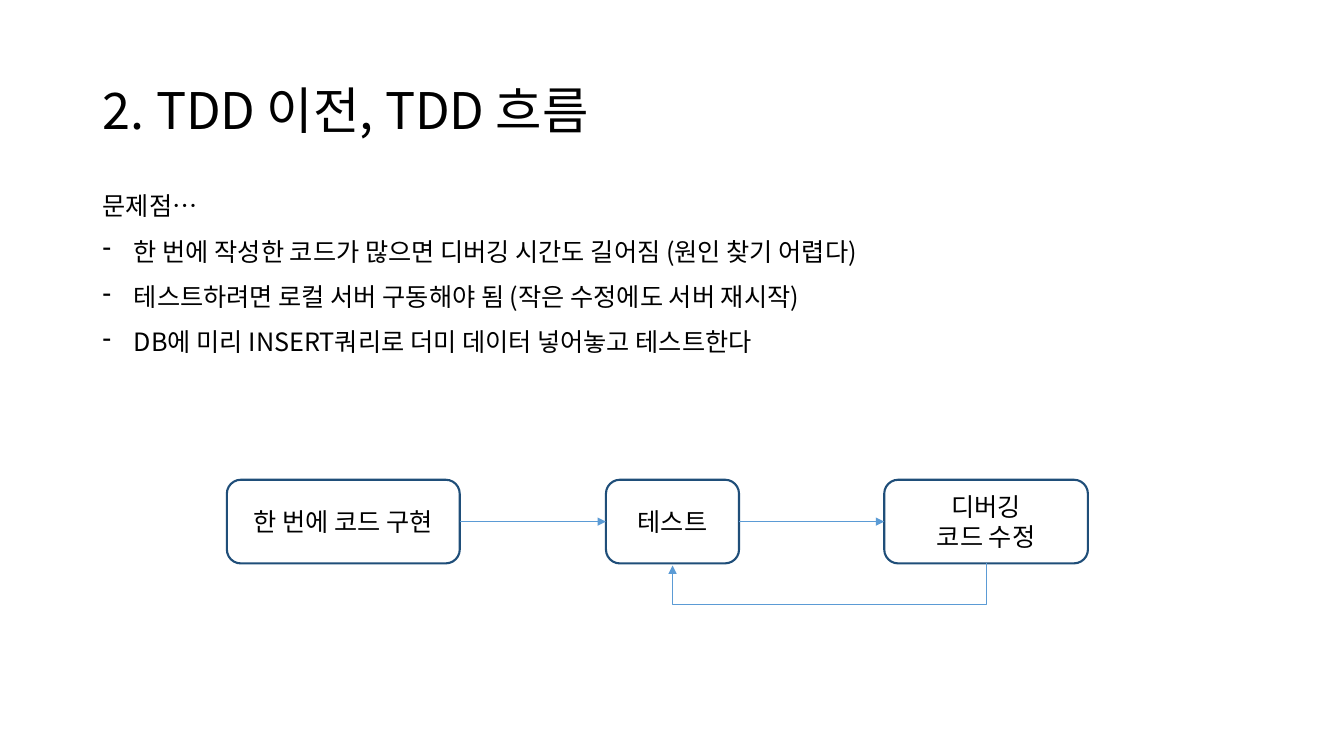
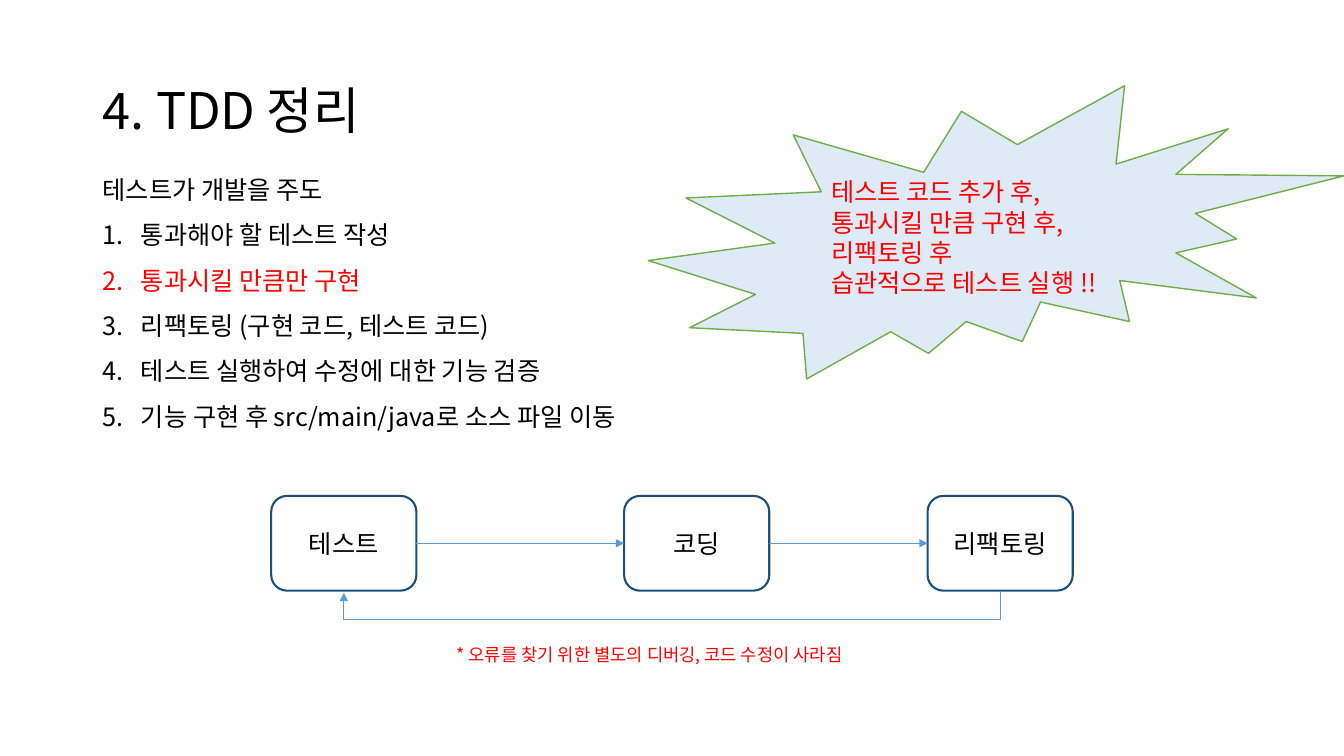
from dataclasses import dataclass

import lxml.etree
import pptx
import pptx.dml.color
import pptx.enum.shapes
import pptx.enum.text
import pptx.oxml.ns
import pptx.shapes.autoshape
import pptx.shapes.connector
import pptx.slide
import pptx.text.text
import pptx.util

Inches = pptx.util.Inches
Pt = pptx.util.Pt
qn = pptx.oxml.ns.qn
Anchor = pptx.enum.text.MSO_ANCHOR
Align = pptx.enum.text.PP_ALIGN
Preset = pptx.enum.shapes.MSO_SHAPE
Connector = pptx.enum.shapes.MSO_CONNECTOR
SITE_LEFT, SITE_BOTTOM, SITE_RIGHT = 1, 2, 3


@dataclass(frozen=True)
class Theme:
    font: str = "Noto Sans CJK KR"
    text: str = "000000"
    emphasis: str = "FF0000"
    box_line: str = "1F4E79"
    arrow: str = "5B9BD5"
    burst_fill: str = "DEEBF7"
    burst_line: str = "70AD47"
    title_size: float = 36
    body_size: float = 18
    note_size: float = 12.6


THEME = Theme()


@dataclass(frozen=True)
class Area:
    left: float
    top: float
    width: float
    height: float

    def lengths(self) -> tuple[pptx.util.Length, ...]:
        return tuple(Inches(value) for value in (self.left, self.top, self.width, self.height))


@dataclass(frozen=True)
class Line:
    text: str
    color: str = THEME.text
    bullet: str = ""
    indent: float = 0


@dataclass(frozen=True)
class Step:
    text: str
    left: float
    width: float


@dataclass(frozen=True)
class Flow:
    steps: tuple[Step, ...]
    top: float
    height: float
    return_to: int
    return_drop: float


TITLE_AREA = Area(0.92, 0.71, 11.5, 0.82)


def rgb(color: str) -> pptx.dml.color.RGBColor:
    return pptx.dml.color.RGBColor.from_string(color)


def add_bullet(paragraph: pptx.text.text._Paragraph, line: Line) -> None:
    properties = paragraph._p.get_or_add_pPr()
    properties.set("marL", str(Inches(line.indent)))
    properties.set("indent", str(-Inches(line.indent)))
    if line.bullet == "1.":
        bullet = lxml.etree.Element(qn("a:buAutoNum"), type="arabicPeriod")
    else:
        bullet = lxml.etree.Element(qn("a:buChar"), char=line.bullet)
    color = lxml.etree.Element(qn("a:buClr"))
    lxml.etree.SubElement(color, qn("a:srgbClr"), val=line.color)
    defaults = properties.find(qn("a:defRPr"))
    defaults.addprevious(color)
    defaults.addprevious(bullet)


def write_lines(
    frame: pptx.text.text.TextFrame,
    lines: tuple[Line, ...],
    size: float = THEME.body_size,
    spacing: float = 1.0,
    align: Align = Align.LEFT,
    anchor: Anchor = Anchor.MIDDLE,
) -> None:
    frame.word_wrap = True
    frame.auto_size = pptx.enum.text.MSO_AUTO_SIZE.NONE
    frame.vertical_anchor = anchor
    for index, line in enumerate(lines):
        paragraph = frame.add_paragraph() if index else frame.paragraphs[0]
        paragraph.text = line.text
        paragraph.alignment = align
        paragraph.line_spacing = spacing
        paragraph.font.size = Pt(size)
        paragraph.font.name = THEME.font
        paragraph.font.color.rgb = rgb(line.color)
        defaults = paragraph._p.pPr.find(qn("a:defRPr"))
        lxml.etree.SubElement(defaults, qn("a:ea"), typeface=THEME.font)
        if line.bullet:
            add_bullet(paragraph, line)


def add_titled_slide(presentation: pptx.presentation.Presentation, text: str) -> pptx.slide.Slide:
    slide = presentation.slides.add_slide(presentation.slide_layouts.get_by_name("Title Only"))
    title = slide.shapes.title
    title.left, title.top, title.width, title.height = TITLE_AREA.lengths()
    write_lines(title.text_frame, (Line(text),), THEME.title_size, 0.9)
    return slide


def add_text(
    slide: pptx.slide.Slide,
    area: Area,
    lines: tuple[Line, ...],
    size: float = THEME.body_size,
    spacing: float = 1.5,
    anchor: Anchor = Anchor.MIDDLE,
) -> None:
    text_box = slide.shapes.add_textbox(*area.lengths())
    write_lines(text_box.text_frame, lines, size, spacing, anchor=anchor)


def add_outlined_shape(
    slide: pptx.slide.Slide, preset: Preset, area: Area, line_color: str, line_width: float
) -> pptx.shapes.autoshape.Shape:
    shape = slide.shapes.add_shape(preset, *area.lengths())
    shape.shadow.inherit = False
    shape.fill.background()
    shape.line.color.rgb = rgb(line_color)
    shape.line.width = Pt(line_width)
    return shape


def add_arrow(
    slide: pptx.slide.Slide,
    kind: Connector,
    start: pptx.shapes.autoshape.Shape,
    start_site: int,
    end: pptx.shapes.autoshape.Shape,
    end_site: int,
) -> pptx.shapes.connector.Connector:
    arrow = slide.shapes.add_connector(kind, 0, 0, 0, 0)
    arrow.begin_connect(start, start_site)
    arrow.end_connect(end, end_site)
    arrow.line.color.rgb = rgb(THEME.arrow)
    arrow.line.width = Pt(0.5)
    lxml.etree.SubElement(arrow.line._get_or_add_ln(), qn("a:tailEnd"), type="triangle")
    lxml.etree.SubElement(arrow._element.spPr, qn("a:effectLst"))
    return arrow


def add_return_arrow(
    slide: pptx.slide.Slide,
    start: pptx.shapes.autoshape.Shape,
    end: pptx.shapes.autoshape.Shape,
    drop: float,
) -> None:
    arrow = add_arrow(slide, Connector.ELBOW, start, SITE_BOTTOM, end, SITE_BOTTOM)
    start_x = start.left + start.width // 2
    end_x = end.left + end.width // 2
    thickness = Inches(0.02)
    span = start_x - end_x
    bottom = start.top + start.height
    arrow.left = (start_x + end_x - thickness) // 2
    arrow.top = bottom + (thickness - span) // 2
    arrow.width, arrow.height = thickness, span
    properties = arrow._element.spPr
    transform = properties.find(qn("a:xfrm"))
    for flip in ("flipH", "flipV"):
        transform.attrib.pop(flip, None)
    transform.set("rot", str(90 * 60000))
    guides = properties.find(qn("a:prstGeom")).find(qn("a:avLst"))
    bend = round(Inches(drop) / thickness * 100000)
    lxml.etree.SubElement(guides, qn("a:gd"), name="adj1", fmla=f"val {bend}")


def add_flow(slide: pptx.slide.Slide, flow: Flow) -> None:
    boxes = []
    for step in flow.steps:
        area = Area(step.left, flow.top, step.width, flow.height)
        box = add_outlined_shape(slide, Preset.ROUNDED_RECTANGLE, area, THEME.box_line, 1.5)
        lines = tuple(Line(text) for text in step.text.split("\n"))
        write_lines(box.text_frame, lines, align=Align.CENTER)
        boxes.append(box)
    for start, end in zip(boxes, boxes[1:]):
        add_arrow(slide, Connector.STRAIGHT, start, SITE_RIGHT, end, SITE_LEFT)
    add_return_arrow(slide, boxes[-1], boxes[flow.return_to], flow.return_drop)


def add_burst(slide: pptx.slide.Slide, area: Area, texts: tuple[str, ...]) -> None:
    burst = add_outlined_shape(slide, Preset.EXPLOSION2, area, THEME.burst_line, 1)
    burst.fill.solid()
    burst.fill.fore_color.rgb = rgb(THEME.burst_fill)
    write_lines(burst.text_frame, tuple(Line(text, THEME.emphasis) for text in texts))


def build_before_slide(presentation: pptx.presentation.Presentation) -> None:
    slide = add_titled_slide(presentation, "2. TDD 이전, TDD 흐름")
    problems = (
        "한 번에 작성한 코드가 많으면 디버깅 시간도 길어짐 (원인 찾기 어렵다)",
        "테스트하려면 로컬 서버 구동해야 됨 (작은 수정에도 서버 재시작)",
        "DB에 미리 INSERT쿼리로 더미 데이터 넣어놓고 테스트한다",
    )
    bullets = tuple(Line(text, bullet="-", indent=0.31) for text in problems)
    add_text(slide, Area(0.92, 1.53, 10.23, 2.22), (Line("문제점…"), *bullets))
    steps = (
        Step("한 번에 코드 구현", 2.25, 2.31),
        Step("테스트", 6.01, 1.32),
        Step("디버깅\n코드 수정", 8.77, 2.02),
    )
    add_flow(slide, Flow(steps, top=4.76, height=0.83, return_to=1, return_drop=0.4))


def build_summary_slide(presentation: pptx.presentation.Presentation) -> None:
    slide = add_titled_slide(presentation, "4. TDD 정리")
    rules = (
        ("통과해야 할 테스트 작성", THEME.text),
        ("통과시킬 만큼만 구현", THEME.emphasis),
        ("리팩토링 (구현 코드, 테스트 코드)", THEME.text),
        ("테스트 실행하여 수정에 대한 기능 검증", THEME.text),
        ("기능 구현 후 src/main/java로 소스 파일 이동", THEME.text),
    )
    numbered = tuple(Line(text, color, "1.", 0.38) for text, color in rules)
    add_text(
        slide,
        Area(0.92, 1.53, 5.75, 2.83),
        (Line("테스트가 개발을 주도"), *numbered),
        anchor=Anchor.TOP,
    )
    steps = (
        Step("테스트", 2.69, 1.44),
        Step("코딩", 6.19, 1.44),
        Step("리팩토링", 9.2, 1.44),
    )
    add_flow(slide, Flow(steps, top=4.92, height=0.94, return_to=0, return_drop=0.28))
    note = Line("* 오류를 찾기 위한 별도의 디버깅, 코드 수정이 사라짐", THEME.emphasis)
    add_text(slide, Area(4.43, 6.15, 4.48, 0.51), (note,), THEME.note_size, 1.8)
    add_burst(
        slide,
        Area(6.43, 0.85, 6.9, 2.91),
        (
            "테스트 코드 추가 후,",
            "통과시킬 만큼 구현 후, 리팩토링 후",
            "습관적으로 테스트 실행 !!",
        ),
    )


def main() -> None:
    presentation = pptx.Presentation()
    presentation.slide_width = Inches(13.33)
    presentation.slide_height = Inches(7.5)
    build_before_slide(presentation)
    build_summary_slide(presentation)
    presentation.save("out.pptx")


if __name__ == "__main__":
    main()
